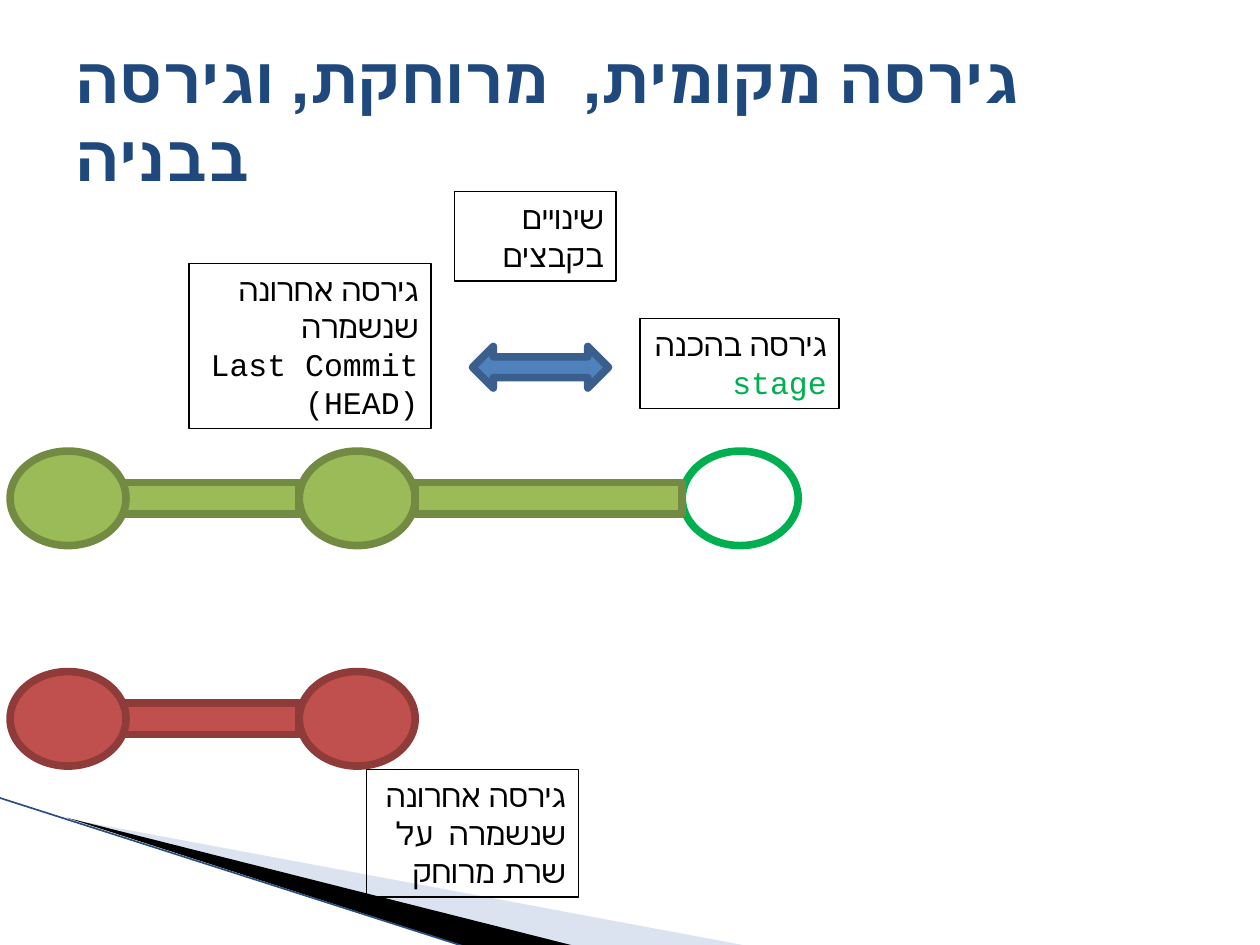
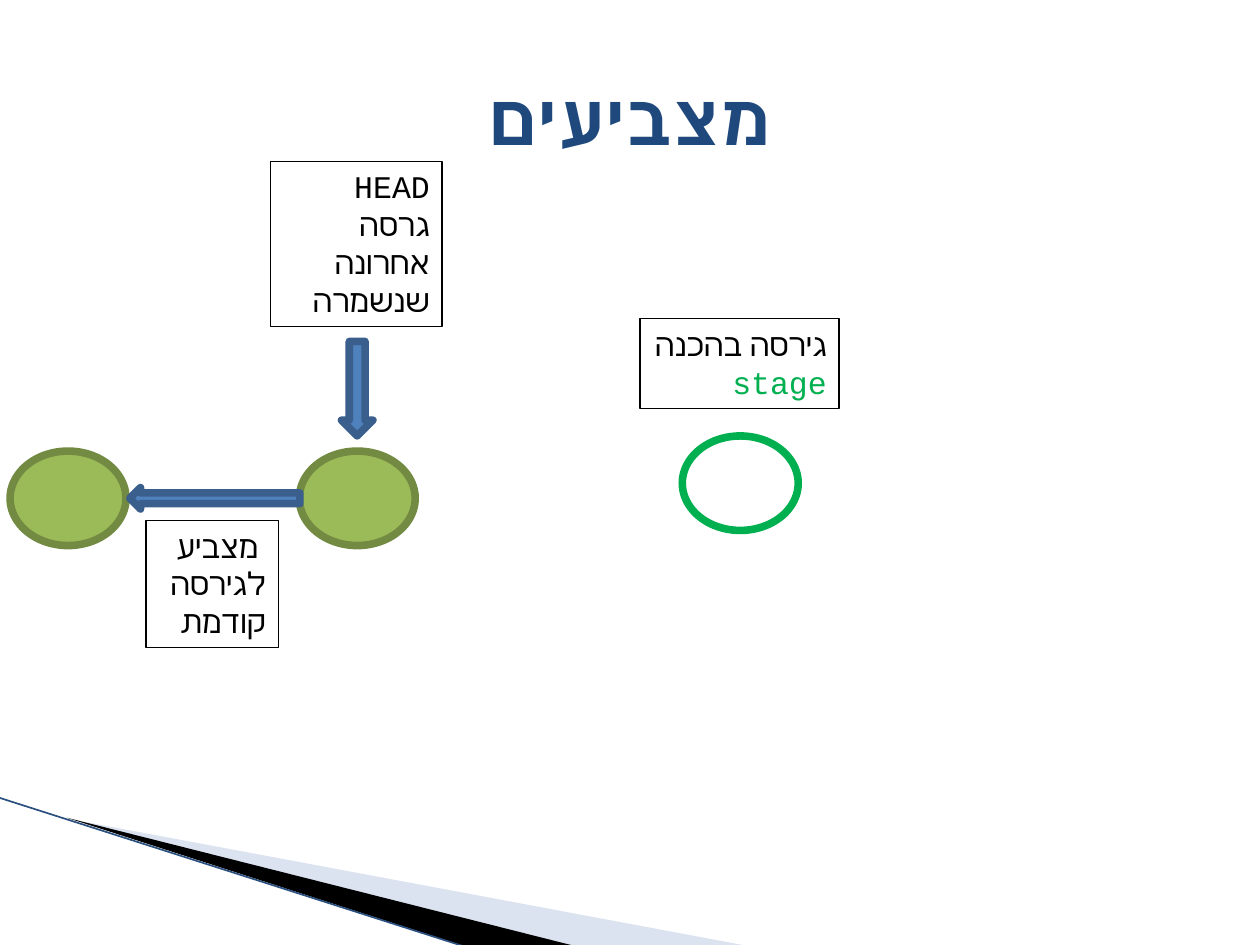
"""Build two Hebrew slides about local, remote and staged versions."""
from dataclasses import dataclass

from lxml import etree
from pptx import Presentation
from pptx import util as u
from pptx.dml.color import RGBColor
from pptx.enum import shapes, text
from pptx.oxml.ns import qn


@dataclass(frozen=True)
class Theme:
    font: str = "Courier New"
    title: str = "1F497D"
    ink: str = "000000"
    stage: str = "00B050"
    local: tuple = ("9BBB59", "738A42")
    remote: tuple = ("C0504D", "8E3B39")
    staged: tuple = ("FFFFFF", "00B050")
    arrow: tuple = ("4F81BD", "3A5F8C")
    band_light: str = "A7B9DB"
    band_line: str = "2A5080"
    body_size: float = 18
    box_line: float = 0.75
    band_width: float = 0.95
    heavy_line: float = 4.33


THEME = Theme()
KIND = shapes.MSO_SHAPE
ALIGN = text.PP_ALIGN

FIRST, LAST, STAGED = 0.08, 2.375, 5.415
LOCAL_ROW, REMOTE_ROW = 3.58, 5.33
NODE_WIDTH, NODE_HEIGHT = 0.92, 0.75
BAR_HEIGHT = 0.25

STAGE_BOX = ((5.08, 2.53, 1.58, 0.71), [("גירסה בהכנה", THEME.ink), ("stage", THEME.stage)])

SLIDES = [
    {
        "title": ("גירסה מקומית,  מרוחקת, וגירסה בבניה", 36.9, ALIGN.LEFT),
        "nodes": [
            (LAST, LOCAL_ROW, THEME.local),
            (STAGED, LOCAL_ROW, THEME.staged),
            (LAST, REMOTE_ROW, THEME.remote),
        ],
        "bars": [
            (0.5, LAST, LOCAL_ROW, THEME.local),
            (LAST + NODE_WIDTH, STAGED, LOCAL_ROW, THEME.local),
            (0.5, LAST, REMOTE_ROW, THEME.remote),
        ],
        "boxes": [
            ((1.5, 2.09, 1.92, 1.31),
             [("גירסה אחרונה שנשמרה", THEME.ink), ("Last Commit (HEAD)", THEME.ink)]),
            STAGE_BOX,
            ((2.91, 6.11, 1.68, 1.01), [("גירסה אחרונה שנשמרה  על שרת מרוחק", THEME.ink)]),
            ((3.61, 1.52, 1.28, 0.71), [("שינויים בקבצים", THEME.ink)]),
        ],
        "first_nodes": [
            (FIRST, LOCAL_ROW, THEME.local),
            (FIRST, REMOTE_ROW, THEME.remote),
        ],
        "arrows": [(KIND.LEFT_RIGHT_ARROW, (3.75, 2.75, 1.08, 0.33))],
    },
    {
        "title": ("מצביעים", 41, ALIGN.CENTER),
        "nodes": [(LAST, LOCAL_ROW, THEME.local), (STAGED, 3.46, THEME.staged)],
        "bars": [],
        "boxes": [
            ((2.15, 1.28, 1.36, 1.31), [("HEAD", THEME.ink), ("גרסה אחרונה שנשמרה", THEME.ink)]),
            STAGE_BOX,
            ((1.16, 4.13, 1.05, 1.01), [(" מצביע לגירסה קודמת", THEME.ink)]),
        ],
        "first_nodes": [(FIRST, LOCAL_ROW, THEME.local)],
        "arrows": [
            (KIND.DOWN_ARROW, (2.71, 2.71, 0.25, 0.75)),
            (KIND.LEFT_ARROW, (1.03, 3.87, 1.35, 0.17)),
        ],
    },
]

BANDS = [
    ([(0.55, 6.5), (5.95, 7.51), (4.56, 7.51)], THEME.band_light, 40),
    ([(0.53, 6.49), (4.57, 7.51), (3.72, 7.52)], THEME.ink, 100),
]
BAND_EDGE = (-0.01, 6.33, 3.71, 7.52)


def inches(values):
    return [u.Inches(value) for value in values]


def paint(shape, fill, opacity=100):
    shape.fill.solid()
    shape.fill.fore_color.rgb = RGBColor.from_string(fill)
    if opacity < 100:
        color = shape.fill._xPr.find(qn("a:solidFill"))[0]
        etree.SubElement(color, qn("a:alpha"), val=str(opacity * 1000))


def stroke(shape, color, width):
    shape.line.color.rgb = RGBColor.from_string(color)
    shape.line.width = u.Pt(width)


def add_figure(slide, kind, place, colors):
    shape = slide.shapes.add_shape(kind, *inches(place))
    shape.shadow.inherit = False
    paint(shape, colors[0])
    stroke(shape, colors[1], THEME.heavy_line)


def add_text(slide, place, lines, *, size=THEME.body_size, bold=False,
             align=ALIGN.RIGHT, anchor=text.MSO_ANCHOR.TOP, border=None):
    shape = slide.shapes.add_textbox(*inches(place))
    if border:
        stroke(shape, border, THEME.box_line)
    frame = shape.text_frame
    frame.word_wrap = True
    frame.vertical_anchor = anchor
    for index, (words, color) in enumerate(lines):
        paragraph = frame.add_paragraph() if index else frame.paragraphs[0]
        paragraph.alignment = align
        paragraph._p.get_or_add_pPr().set("rtl", "1")
        run = paragraph.add_run()
        run.text = words
        run.font.name = THEME.font
        run.font.size = u.Pt(size)
        run.font.bold = bold
        run.font.color.rgb = RGBColor.from_string(color)


def add_bands(slide):
    for points, color, opacity in BANDS:
        start, *rest = [inches(point) for point in points]
        builder = slide.shapes.build_freeform(*start, scale=1.0)
        builder.add_line_segments(rest, close=True)
        band = builder.convert_to_shape()
        band.shadow.inherit = False
        paint(band, color, opacity)
        band.line.fill.background()
    edge = slide.shapes.add_connector(shapes.MSO_CONNECTOR.STRAIGHT, *inches(BAND_EDGE))
    stroke(edge, THEME.band_line, THEME.band_width)
    etree.SubElement(edge._element.spPr, qn("a:effectLst"))


def add_nodes(slide, nodes):
    for left, top, colors in nodes:
        add_figure(slide, KIND.OVAL, (left, top, NODE_WIDTH, NODE_HEIGHT), colors)


def build_slide(presentation, content):
    slide = presentation.slides.add_slide(presentation.slide_layouts[6])
    add_bands(slide)
    words, size, align = content["title"]
    add_text(slide, (0.5, 0.3, 9, 1.25), [(words, THEME.title)], size=size, bold=True,
             align=align, anchor=text.MSO_ANCHOR.MIDDLE)
    add_nodes(slide, content["nodes"])
    for left, right, row, colors in content["bars"]:
        top = row + (NODE_HEIGHT - BAR_HEIGHT) / 2
        add_figure(slide, KIND.RECTANGLE, (left, top, right - left, BAR_HEIGHT), colors)
    for place, lines in content["boxes"]:
        add_text(slide, place, lines, border=THEME.ink)
    add_nodes(slide, content["first_nodes"])
    for kind, place in content["arrows"]:
        add_figure(slide, kind, place, THEME.arrow)


def main():
    presentation = Presentation()
    presentation.slide_width, presentation.slide_height = inches((10, 7.5))
    for content in SLIDES:
        build_slide(presentation, content)
    presentation.save("out.pptx")


if __name__ == "__main__":
    main()
